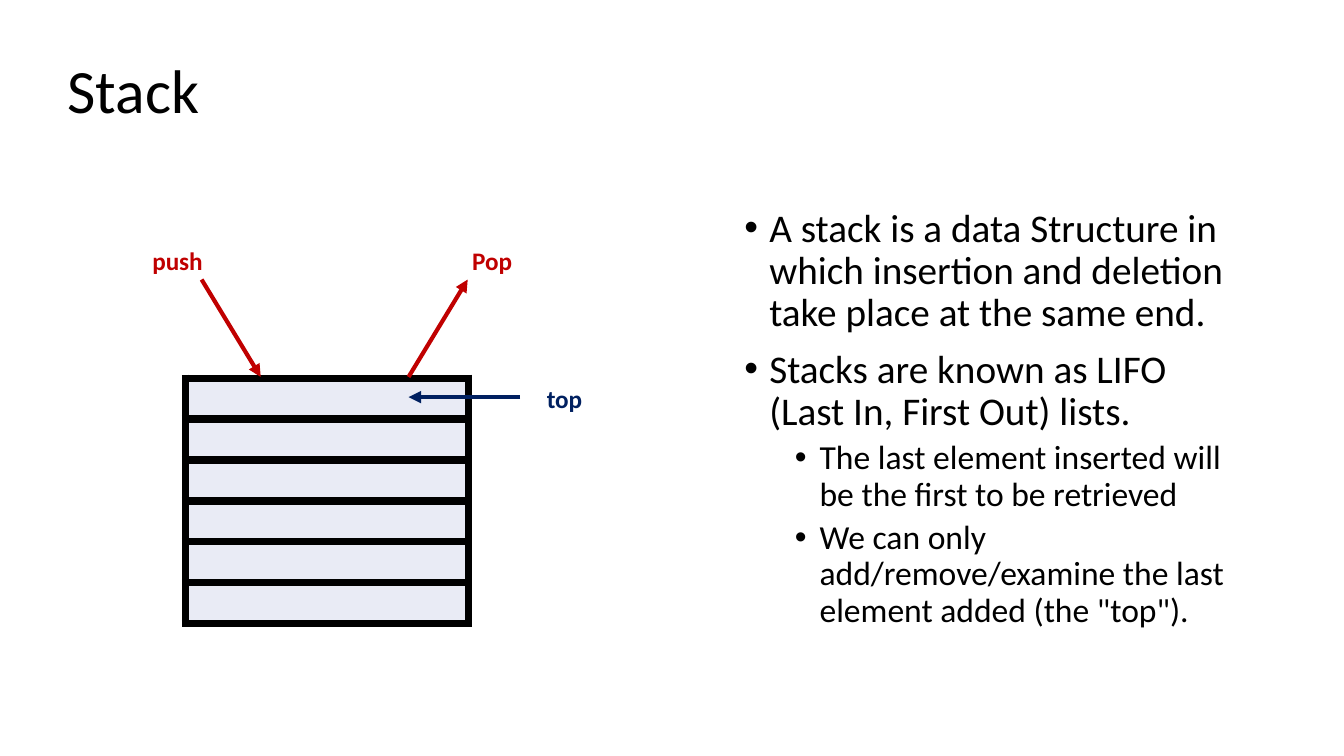
from lxml import etree
from pptx import Presentation
from pptx.dml.color import RGBColor
from pptx.enum.shapes import MSO_CONNECTOR
from pptx.enum.text import MSO_ANCHOR, MSO_AUTO_SIZE
from pptx.oxml import parse_xml
from pptx.oxml.ns import nsdecls, qn
from pptx.util import Pt

STRAIGHT = MSO_CONNECTOR.STRAIGHT
MIDDLE, TOP = MSO_ANCHOR.MIDDLE, MSO_ANCHOR.TOP
FIT_SHAPE = MSO_AUTO_SIZE.SHAPE_TO_FIT_TEXT

EMU_PER_PX = 4572  # 200 px to the inch
FONT = "Calibri"
BLACK, RED, NAVY, CELL_FILL = "000000", "C00000", "002060", "E9EBF5"
STACK_ROWS = 6

BULLETS = [
    # level, text
    (0, "A stack is a data Structure in which insertion and deletion take place at the same end."),
    (0, "Stacks are known as LIFO (Last In, First Out) lists."),
    (1, "The last element inserted will be the first to be retrieved"),
    (1, "We can only add/remove/examine the last element added (the \"top\")."),
]
# level: font size, space before, left margin in px
LEVELS = {0: (21, 7.5, 37), 1: (18, 3.8, 112)}
HANGING = 37

LABELS = [
    # text, left, top, width, color
    ("push", 207, 356, 116, RED),
    ("Pop", 683, 356, 100, RED),
    ("top", 794, 561, 94, NAVY),
]
ARROWS = [
    # start, end, color
    ((300, 416), (388, 561), RED),
    ((608, 561), (696, 416), RED),
    ((774, 591), (608, 591), NAVY),
]


def px(length):
    return round(length * EMU_PER_PX)


def rgb(color):
    return RGBColor.from_string(color)


def add_frame(slide, left, top, width, height, anchor=TOP, wrap=True):
    box = slide.shapes.add_textbox(px(left), px(top), px(width), px(height))
    frame = box.text_frame
    frame.word_wrap = wrap
    frame.vertical_anchor = anchor
    return frame


def write(paragraph, text, size, color=BLACK, bold=False, spacing=None):
    if spacing:
        paragraph.line_spacing = spacing
    run = paragraph.add_run()
    run.text = text
    run.font.name = FONT
    run.font.size = Pt(size)
    run.font.bold = bold
    run.font.color.rgb = rgb(color)


def add_bullets(slide, left, top, width, height):
    frame = add_frame(slide, left, top, width, height)
    for index, (level, text) in enumerate(BULLETS):
        size, space_before, margin = LEVELS[level]
        paragraph = frame.add_paragraph() if index else frame.paragraphs[0]
        paragraph.level = level
        properties = paragraph._p.get_or_add_pPr()
        properties.set("marL", str(px(margin)))
        properties.set("indent", str(-px(HANGING)))
        etree.SubElement(properties, qn("a:buFont")).set("typeface", "Arial")
        etree.SubElement(properties, qn("a:buChar")).set("char", "•")
        if index:
            paragraph.space_before = Pt(space_before)
        write(paragraph, text, size, spacing=0.9)


def set_borders(cell, color, width):
    properties = cell._tc.get_or_add_tcPr()
    for position, side in enumerate(("lnL", "lnR", "lnT", "lnB")):
        properties.insert(position, parse_xml(
            f'<a:{side} {nsdecls("a")} w="{Pt(width)}"><a:solidFill>'
            f'<a:srgbClr val="{color}"/></a:solidFill></a:{side}>'))


def add_stack(slide, left, top, width, height):
    table = slide.shapes.add_table(
        STACK_ROWS, 1, px(left), px(top), px(width), px(height)).table
    table.first_row = table.horz_banding = False
    for row in table.rows:
        row.height = px(height / STACK_ROWS)
        cell = row.cells[0]
        cell.margin_top = cell.margin_bottom = 0
        cell.fill.solid()
        cell.fill.fore_color.rgb = rgb(CELL_FILL)
        set_borders(cell, BLACK, 4.5)
        # A small empty line keeps the row at its height
        empty_line = cell.text_frame.paragraphs[0]._p
        etree.SubElement(empty_line, qn("a:endParaRPr")).set("sz", "1200")


def add_label(slide, text, left, top, width, color):
    frame = add_frame(slide, left, top, width, 66, wrap=False)
    frame.auto_size = FIT_SHAPE
    write(frame.paragraphs[0], text, 13.5, color=color, bold=True)


def add_arrow(slide, start, end, color):
    arrow = slide.shapes.add_connector(
        STRAIGHT, *(px(value) for value in start + end))
    arrow.line.color.rgb = rgb(color)
    arrow.line.width = Pt(2.25)
    etree.SubElement(arrow.line._get_or_add_ln(), qn("a:tailEnd")).set("type", "triangle")
    etree.SubElement(arrow._element.spPr, qn("a:effectLst"))


def main():
    deck = Presentation()
    deck.slide_width, deck.slide_height = px(2000), px(1125)
    slide = deck.slides.add_slide(deck.slide_layouts[6])

    # Title and explanation
    title = add_frame(slide, 81, 30, 1724, 218, anchor=MIDDLE)
    write(title.paragraphs[0], "Stack", 33, spacing=0.9)
    add_bullets(slide, 1088, 300, 776, 714)

    # Stack diagram
    add_stack(slide, 276, 563, 421, 365)
    for label in LABELS:
        add_label(slide, *label)
    for arrow in ARROWS:
        add_arrow(slide, *arrow)

    deck.save("out.pptx")


if __name__ == "__main__":
    main()
